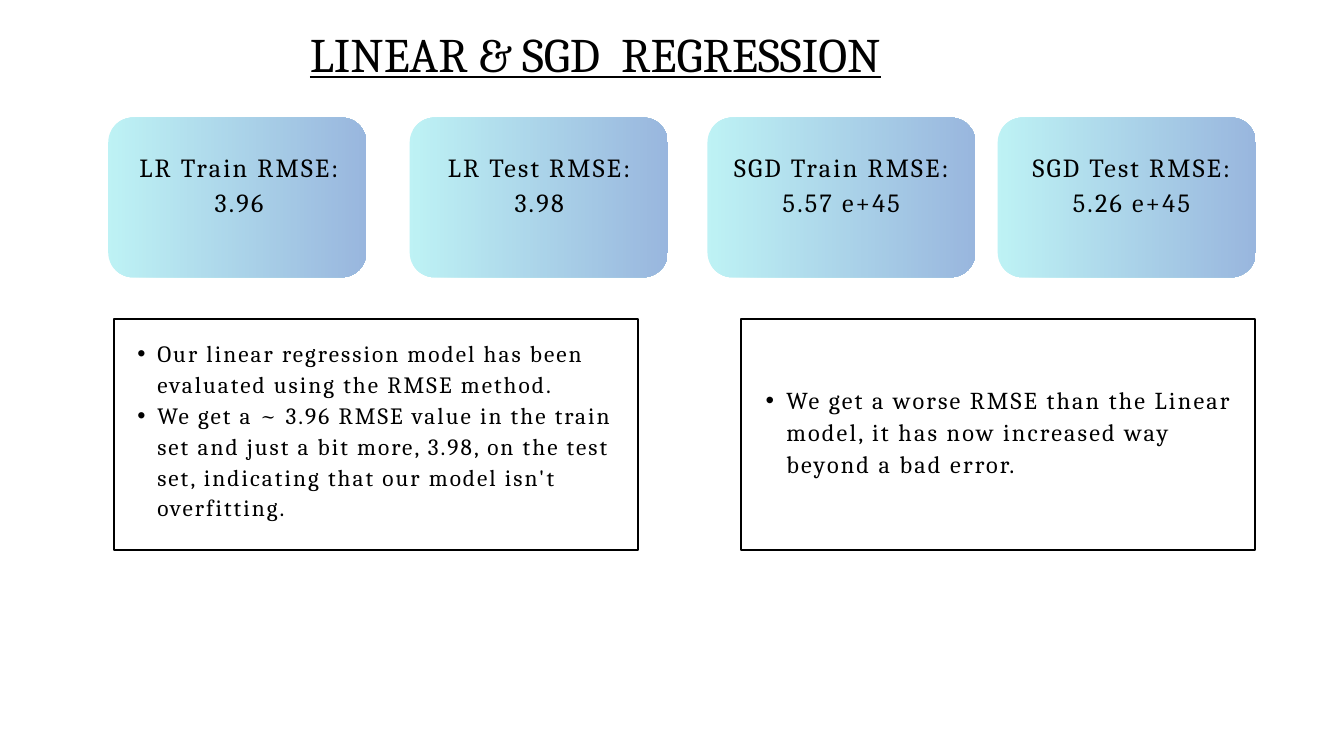
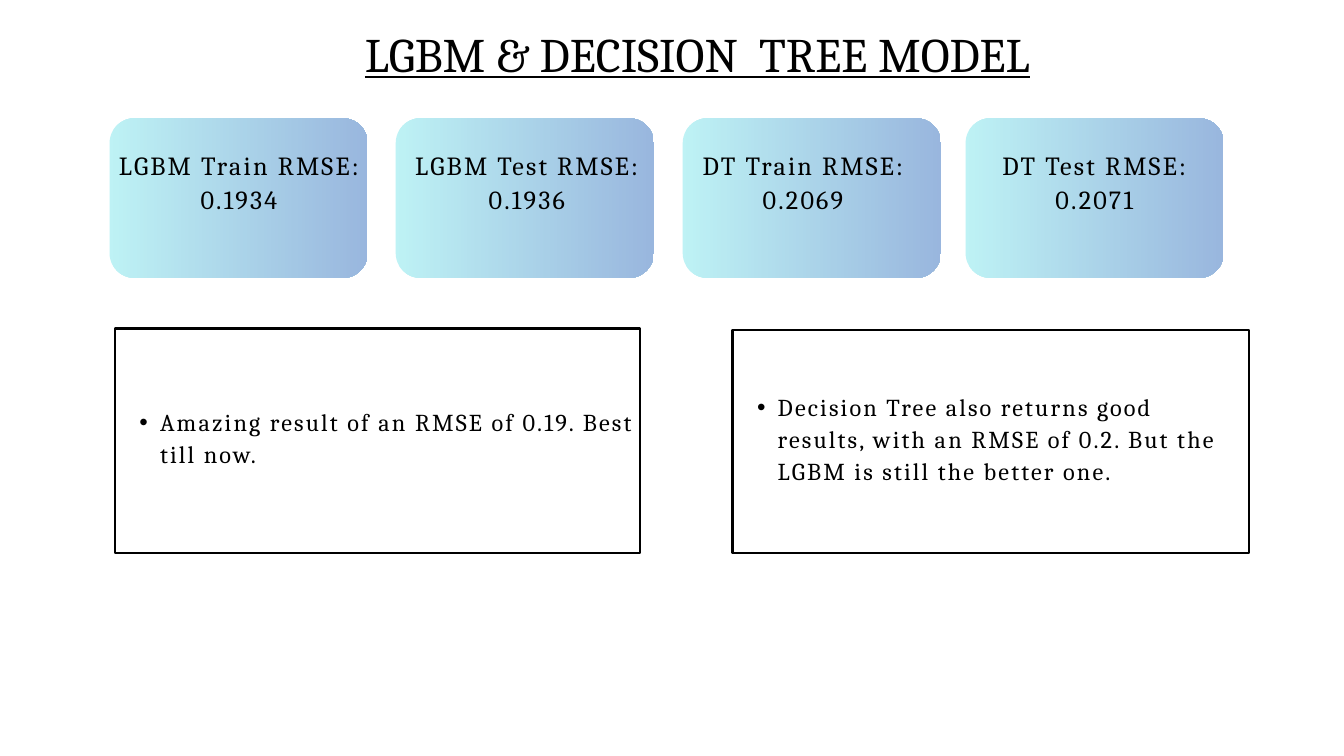
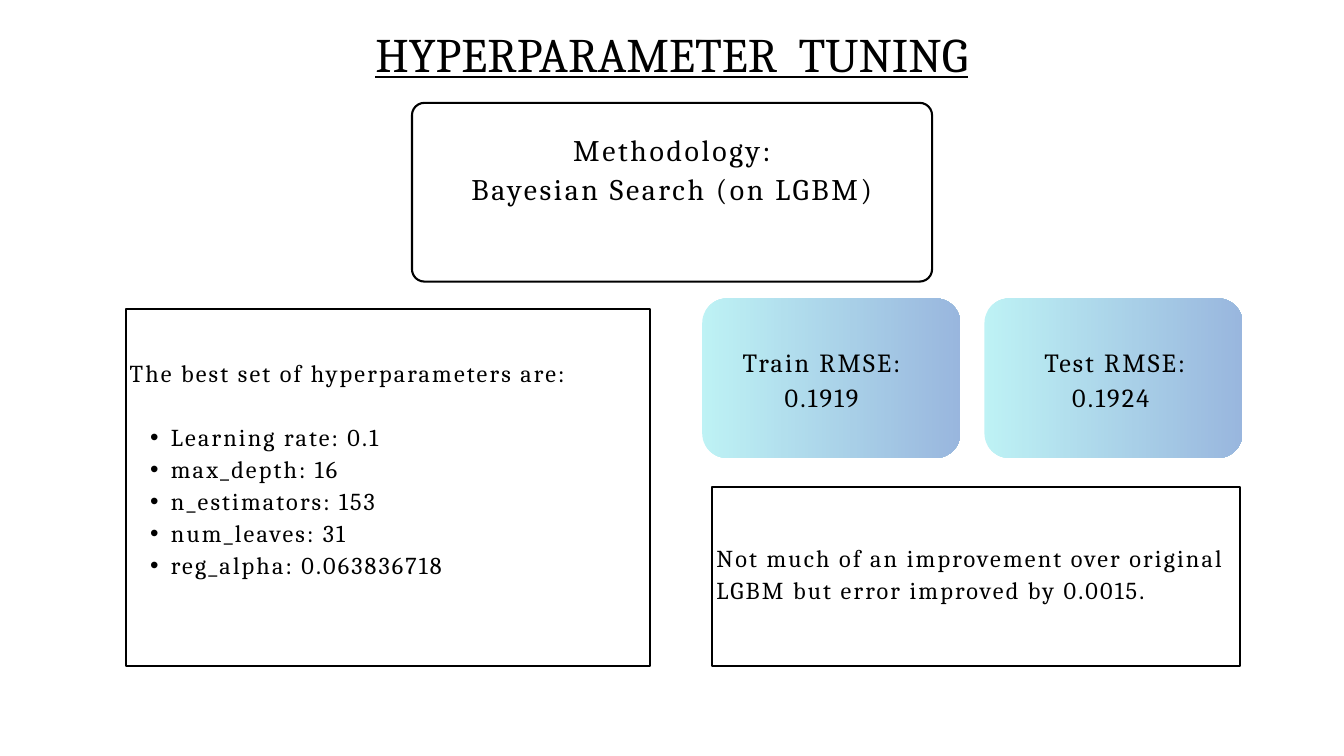
from collections import namedtuple

import pptx
import pptx.dml.color
import pptx.enum.dml
import pptx.enum.shapes
import pptx.enum.text
import pptx.oxml
import pptx.oxml.ns
import pptx.util

Pt = pptx.util.Pt
qn = pptx.oxml.ns.qn
ALIGN = pptx.enum.text.PP_ALIGN
ANCHOR = pptx.enum.text.MSO_ANCHOR
SHAPE = pptx.enum.shapes.MSO_SHAPE

COLORS = {"ink": "000000", "paper": "FFFFFF", "aqua": "5DE0E6", "navy": "004AAD"}
FONT = "Cambria"
TITLE_SIZE, TITLE_LEADING = 51.6, 84.6
LABEL_SIZE, NOTE_SIZE, METHOD_SIZE = 28, 26, 32
CARD_WIDTH, CARD_HEIGHT, CARD_RADIUS = 276.5, 171, 26.5
METHOD_RADIUS = 13.3
INSET = 4.3

Box = namedtuple("Box", "left top width height")
# label_shift is the distance from the centre of the card to that of its label
Card = namedtuple("Card", "left width label_shift label_width name score")


def color(name):
    return pptx.dml.color.RGBColor.from_string(COLORS[name])


def leading(size):
    return round(size * 1.32, 1)


def add_para(frame, text, size, align=ALIGN.LEFT, first=False):
    """Add a one-run paragraph whose leading and tracking follow from its size."""
    para = frame.paragraphs[0] if first else frame.add_paragraph()
    para.alignment = align
    para.line_spacing = Pt(leading(size))
    span = para.add_run()
    span.text = text
    span.font.name = FONT
    span.font.size = Pt(size)
    span.font.color.rgb = color("ink")
    span.font._element.set("spc", str(round(size * 8.7, -1)).split(".")[0])
    return para


def make_bullet(para, size):
    para.level = 1
    props = para._p.get_or_add_pPr()
    props.set("marL", str(Pt(size * 1.7)))
    props.set("indent", str(-Pt(size * 0.85)))
    for tag, key, value in (("buFont", "typeface", "Arial"), ("buChar", "char", "•")):
        child = props.makeelement(qn("a:" + tag), {key: value})
        props.append(child)


def add_text_box(page, box, inset=0, bottom_gap=0):
    shape = page.shapes.add_textbox(*(Pt(length) for length in box))
    frame = shape.text_frame
    frame.word_wrap = True
    frame.margin_left = frame.margin_right = frame.margin_top = Pt(inset)
    frame.margin_bottom = Pt(inset + bottom_gap)
    return frame


def add_panel(page, box, radius=0):
    """Add an unfilled, shadowless rectangle, rounded if a radius is given."""
    kind = SHAPE.ROUNDED_RECTANGLE if radius else SHAPE.RECTANGLE
    shape = page.shapes.add_shape(kind, *(Pt(length) for length in box))
    if radius:
        shape.adjustments[0] = radius / min(box.width, box.height)
    shape.shadow.inherit = False
    shape.fill.background()
    return shape


def outline(shape):
    shape.line.color.rgb = color("ink")
    shape.line.width = Pt(2.25)


def add_title(page, text, left, width, align=ALIGN.CENTER):
    frame = add_text_box(page, Box(left, 3, width, 78))
    frame.auto_size = pptx.enum.text.MSO_AUTO_SIZE.SHAPE_TO_FIT_TEXT
    para = add_para(frame, text, TITLE_SIZE, align, first=True)
    para.line_spacing = Pt(TITLE_LEADING)
    font = para.runs[0].font
    font.underline = True
    font._element.set("spc", "0")


def add_card(page, box, card, label_top):
    """Add a gradient card with a score label, label_top below its upper edge."""
    shape = add_panel(page, box, CARD_RADIUS)
    shape.line.fill.background()
    shape.fill.gradient()
    shape.fill.gradient_angle = 0
    for stop, name in zip(shape.fill.gradient_stops, ("aqua", "navy")):
        stop.color.rgb = color(name)
    for tint in shape._element.spPr.iter(qn("a:srgbClr")):
        tint.append(tint.makeelement(qn("a:alpha"), {"val": "40000"}))

    center = box.left + box.width / 2 + card.label_shift
    label = Box(center - card.label_width / 2, box.top + label_top, card.label_width, 73)
    frame = add_text_box(page, label)
    frame.auto_size = pptx.enum.text.MSO_AUTO_SIZE.SHAPE_TO_FIT_TEXT
    add_para(frame, card.name, LABEL_SIZE, ALIGN.CENTER, first=True)
    add_para(frame, card.score, LABEL_SIZE, ALIGN.CENTER)


def add_cards(page, top, label_top, cards):
    for card in cards:
        add_card(page, Box(card.left, top, card.width, CARD_HEIGHT), card, label_top)


def add_framed_text(page, box, lift=8.6, radius=0, bottom_gap=0):
    """Outline the box; return middle-anchored text that starts lift above it."""
    outline(add_panel(page, box, radius))
    text_box = Box(box.left, box.top - lift, box.width, box.height + lift)
    frame = add_text_box(page, text_box, INSET, bottom_gap)
    frame.vertical_anchor = ANCHOR.MIDDLE
    return frame


def add_note(page, box, bullets=(), lead="", size=NOTE_SIZE, lift=8.6):
    """Add a framed note: a lead line, bullets, or a lead set apart from bullets."""
    apart = leading(size) if lead and bullets else 0
    frame = add_framed_text(page, box, lift, bottom_gap=apart)
    if lead:
        add_para(frame, lead, size, first=True).space_after = Pt(apart)
    for index, text in enumerate(bullets):
        make_bullet(add_para(frame, text, size, first=not lead and index == 0), size)


def add_method(page, box, lines):
    frame = add_framed_text(page, box, 10.8, METHOD_RADIUS, leading(METHOD_SIZE))
    for index, text in enumerate(lines):
        add_para(frame, text, METHOD_SIZE, ALIGN.CENTER, first=index == 0)


def build_linear_slide(page):
    add_title(page, "LINEAR & SGD  REGRESSION", 332, 777, ALIGN.LEFT)
    add_cards(page, 126, 33, [
        Card(116, CARD_WIDTH, 1.8, 297.5, "LR Train RMSE:", "3.96"),
        Card(439, CARD_WIDTH, 0.4, 297.5, "LR Test RMSE:", "3.98"),
        Card(758, 287, 0, 288, "SGD Train RMSE:", "5.57 e+45"),
        Card(1069, CARD_WIDTH, 5, 286.5, "SGD Test RMSE:", "5.26 e+45"),
    ])
    add_note(page, Box(121.7, 342, 562.3, 247), [
        "Our linear regression model has been evaluated using the RMSE method.",
        "We get a ~ 3.96 RMSE value in the train set and just a bit more, 3.98, "
        "on the test set, indicating that our model isn't overfitting.",
    ], size=25, lift=11.5)
    add_note(page, Box(794, 342, 551, 247), [
        "We get a worse RMSE than the Linear model, it has now increased way "
        "beyond a bad error.",
    ])


def build_tree_slide(page):
    add_title(page, "LGBM & DECISION  TREE MODEL", 107.3, 1280)
    add_cards(page, 126.7, 29.5, [
        Card(117.4, CARD_WIDTH, 0.4, 297.5, "LGBM Train RMSE:", "0.1934"),
        Card(424, CARD_WIDTH, 2.2, 281, "LGBM Test RMSE:", "0.1936"),
        Card(731.5, CARD_WIDTH, -9.4, 250.5, "DT Train RMSE:", "0.2069"),
        Card(1034.6, CARD_WIDTH, -0.4, 221, "DT Test RMSE:", "0.2071"),
    ])
    add_note(page, Box(123, 352, 562.3, 240.5), [
        "Amazing result of an RMSE of 0.19. Best till now.",
    ])
    add_note(page, Box(784.8, 353.5, 553.7, 239), [
        "Decision Tree also returns good results, with an RMSE of 0.2. "
        "But the LGBM is still the better one.",
    ])


def build_tuning_slide(page):
    add_title(page, "HYPERPARAMETER  TUNING", 263.5, 912.3)
    add_method(page, Box(441.4, 110.2, 557.3, 191.5),
               ["Methodology:", "Bayesian Search (on LGBM)"])
    add_note(page, Box(134.6, 331.2, 562.3, 382.3), [
        "Learning rate: 0.1",
        "max_depth: 16",
        "n_estimators: 153",
        "num_leaves: 31",
        "reg_alpha: 0.063836718",
    ], lead="The best set of hyperparameters are:")
    add_cards(page, 319.7, 48.2, [
        Card(752.4, CARD_WIDTH, -10.4, 297.5, "Train RMSE:", "0.1919"),
        Card(1054.8, CARD_WIDTH, -2.9, 281, " Test RMSE:", "0.1924"),
    ])
    add_note(page, Box(763.2, 522, 565.2, 191.5),
             lead="Not much of an improvement over original LGBM but error "
                  "improved by 0.0015.")


def main():
    deck = pptx.Presentation()
    deck.slide_width, deck.slide_height = Pt(1440), Pt(810)
    for build in (build_linear_slide, build_tree_slide, build_tuning_slide):
        page = deck.slides.add_slide(deck.slide_layouts[6])
        page.background.fill.solid()
        page.background.fill.fore_color.rgb = color("paper")
        build(page)
    deck.save("out.pptx")


if __name__ == "__main__":
    main()
